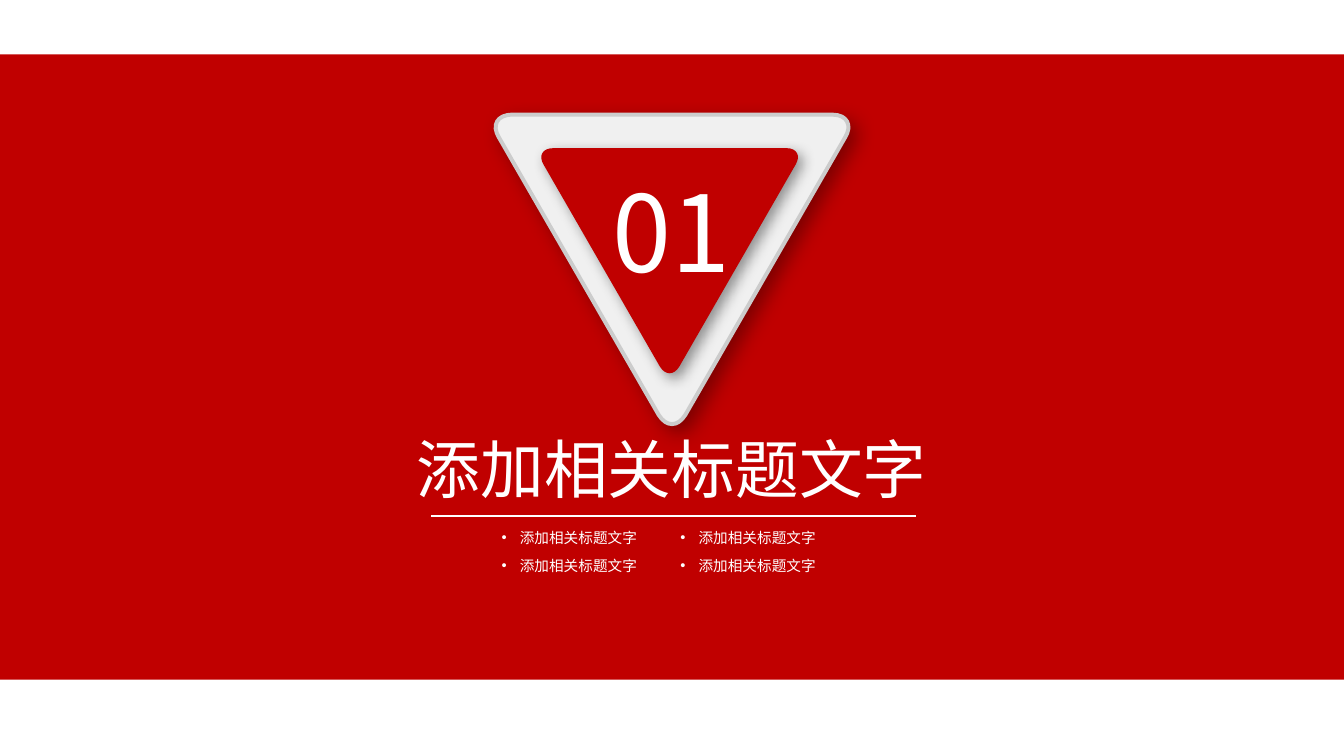
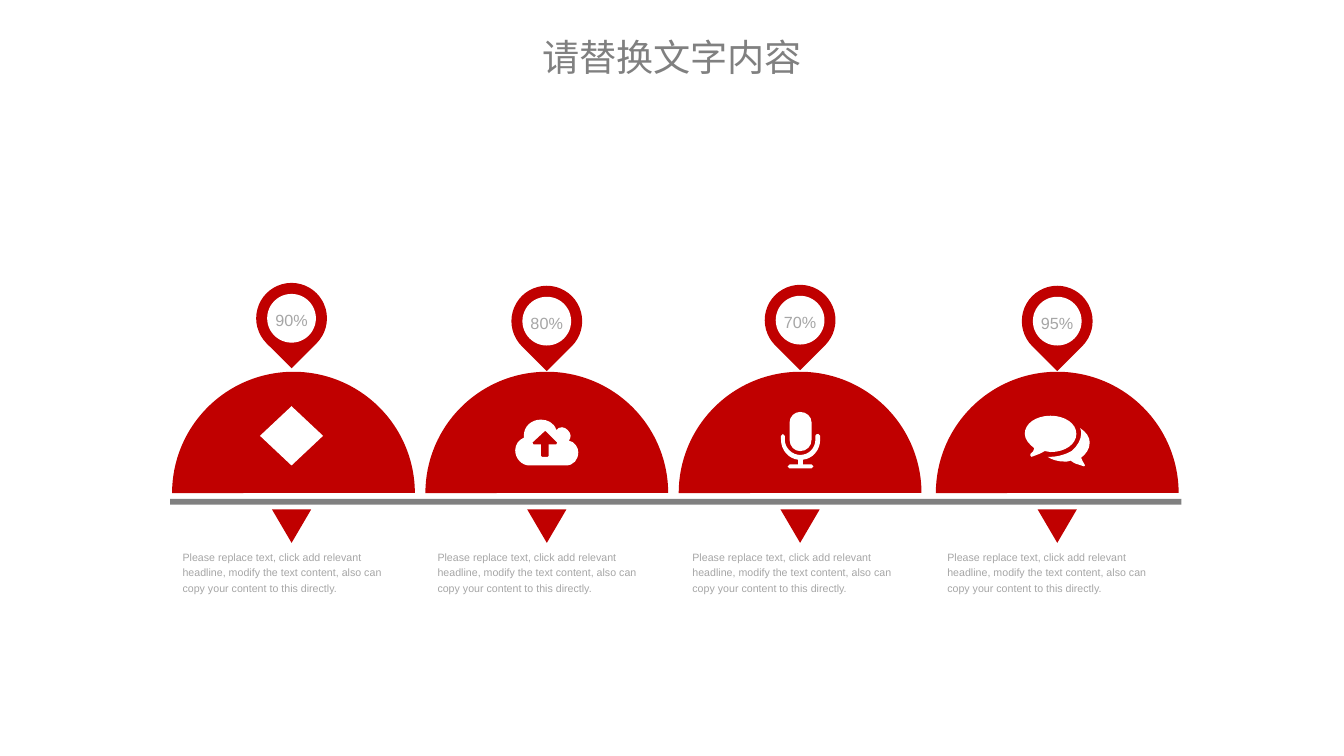
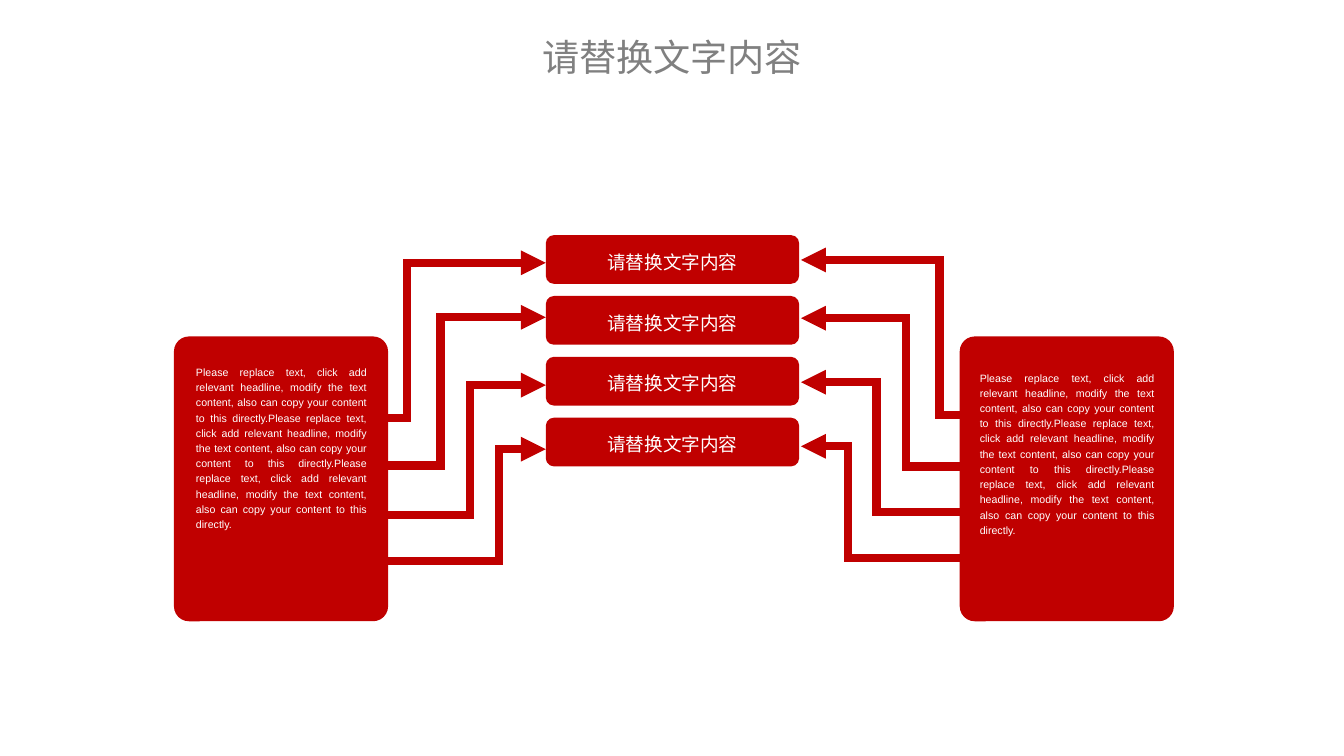
from lxml import etree
from pptx import Presentation
from pptx.dml.color import RGBColor
from pptx.enum.shapes import MSO_CONNECTOR as LINK, MSO_SHAPE as SHAPE
from pptx.enum.text import MSO_ANCHOR as ANCHOR, MSO_AUTO_SIZE as FIT, PP_ALIGN as ALIGN
from pptx.oxml import parse_xml
from pptx.oxml.ns import nsdecls, qn
from pptx.util import Inches, Pt

WIDTH, HEIGHT = 14.06, 7.91
RED, WHITE, GREY, SOFT = "C00000", "FFFFFF", "808080", "A6A6A6"
PANEL, EDGE = "F0F0F0", "CCCCCC"
LATIN, CJK = "Arial", "Noto Sans CJK SC"

SECTION_NUMBER = "01"
SECTION_TITLE = "添加相关标题文字"
SECTION_POINTS = [["添加相关标题文字", "添加相关标题文字"],
                  ["添加相关标题文字", "添加相关标题文字"]]
PAGE_TITLE = "请替换文字内容"
BLURB = ("Please replace text, click add relevant headline, modify the text content, "
         "also can copy your content to this directly.")

# Outlines are in hundredths of an inch: two numbers make a line, six a curve.
TITLE_PANEL = [[(0, 0), (543, 0), (543, 81), (0, 81)]]
TRIANGLE = [[(8, 24), (0, 11, 6, 0, 22, 0), (357, 0), (372, 0, 378, 11, 370, 24),
             (203, 314), (195, 327, 183, 327, 175, 314)]]
CLOUD = [
    [(53, 48), (15, 48), (7, 48, 0, 41, 0, 32), (0, 26, 4, 21, 9, 19),
     (9, 18, 9, 18, 9, 17), (9, 7, 17, 0, 27, 0), (33, 0, 41, 3, 43, 11),
     (44, 9, 47, 8, 49, 8), (53, 8, 58, 13, 58, 17), (58, 19, 57, 21, 56, 22),
     (62, 23, 66, 29, 66, 34), (66, 42, 61, 48, 53, 48)],
    [(44, 24), (32, 12), (31, 12), (18, 24), (19, 26), (27, 26), (27, 38), (28, 39),
     (34, 39), (35, 38), (35, 26), (43, 26)],
]
MICROPHONE = [
    [(41, 29), (41, 40, 33, 49, 23, 50), (23, 55), (32, 55), (33, 55, 34, 56, 34, 57),
     (34, 58, 33, 59, 32, 59), (9, 59), (8, 59, 7, 58, 7, 57), (7, 56, 8, 55, 9, 55),
     (18, 55), (18, 50), (8, 49, 0, 40, 0, 29), (0, 25), (0, 24, 1, 23, 2, 23),
     (3, 23, 4, 24, 4, 25), (4, 29), (4, 38, 12, 45, 20, 45), (29, 45, 36, 38, 36, 29),
     (36, 25), (36, 24, 37, 23, 39, 23), (40, 23, 41, 24, 41, 25)],
    [(32, 29), (32, 36, 27, 41, 20, 41), (14, 41, 9, 36, 9, 29), (9, 11),
     (9, 5, 14, 0, 20, 0), (27, 0, 32, 5, 32, 11)],
]
SPEECH = [
    [(27, 38), (25, 38, 23, 37, 21, 37), (17, 39, 14, 41, 10, 42), (9, 42, 8, 43, 7, 43),
     (6, 42), (5, 41, 6, 40, 6, 40), (8, 38, 10, 37, 10, 34), (5, 30, 0, 25, 0, 19),
     (0, 8, 12, 0, 27, 0), (42, 0, 54, 8, 54, 19), (54, 30, 42, 38, 27, 38)],
    [(59, 44), (60, 47, 61, 48, 62, 50), (63, 51, 63, 51, 63, 52),
     (63, 53, 63, 53, 62, 53), (61, 53, 60, 53, 59, 52), (55, 51, 52, 50, 48, 47),
     (46, 48, 44, 48, 42, 48), (35, 48, 28, 46, 24, 43), (27, 43),
     (35, 43, 44, 40, 49, 37), (55, 32, 59, 25, 59, 19), (59, 17, 59, 15, 58, 13),
     (64, 17, 68, 22, 68, 28), (68, 35, 64, 40, 59, 44)],
]
DIAMOND = [[(33, 0), (66, 31), (33, 62), (0, 31)]]

STAGES = [
    ("90%", 1.8, 3.05, 2.96, DIAMOND, 2.72, 4.25),
    ("80%", 4.45, 5.72, 2.99, CLOUD, 5.39, 4.39),
    ("70%", 7.1, 8.37, 2.98, MICROPHONE, 8.17, 4.31),
    ("95%", 9.79, 11.06, 2.99, SPEECH, 10.72, 4.35),
]

LABELS = ["请替换文字内容"] * 4
ROUTES = [(4.37, 2.75, 4.26, -0.03), (4.87, 3.32, 4.61, 0.01),
          (5.39, 4.03, 4.92, -0.03), (5.87, 4.7, 5.22, -0.03)]
MIRROR = 14.09
CARDS = [(1.82, 2.05, 3.8, 1.79), (10.04, 10.25, 3.86, 1.83)]


def color(value):
    return RGBColor.from_string(value)


def paint(shape, fill=None, edge=None, weight=0):
    shape.shadow.inherit = False
    if fill:
        shape.fill.solid()
        shape.fill.fore_color.rgb = color(fill)
    else:
        shape.fill.background()
    if edge:
        shape.line.color.rgb = color(edge)
        shape.line.width = Pt(weight)
    else:
        shape.line.fill.background()
    return shape


def add_block(page, kind, left, top, width, height, fill, turn=0):
    shape = page.shapes.add_shape(kind, Inches(left), Inches(top), Inches(width), Inches(height))
    shape.rotation = turn
    return paint(shape, fill)


def write(shape, text, size, ink, align=ALIGN.LEFT, spacing=None, font=LATIN,
          anchor=ANCHOR.TOP, inset=True, wrap=True, bullet=False):
    frame = shape.text_frame
    frame.word_wrap = wrap
    frame.vertical_anchor = anchor
    if not inset:
        frame.margin_left = frame.margin_right = frame.margin_top = frame.margin_bottom = 0
    para = frame.paragraphs[0]
    para.alignment = align
    if spacing:
        para.line_spacing = spacing
    if bullet:
        props = para._p.get_or_add_pPr()
        props.set("marL", str(Inches(0.19)))
        props.set("indent", str(Inches(-0.19)))
        etree.SubElement(props, qn("a:buFont")).set("typeface", LATIN)
        etree.SubElement(props, qn("a:buChar")).set("char", "•")
    span = para.add_run()
    span.text = text
    span.font.name = font
    span.font.size = Pt(size)
    span.font.color.rgb = color(ink)


def add_text(page, left, top, width, height, text, size, ink, **style):
    box = page.shapes.add_textbox(Inches(left), Inches(top), Inches(width), Inches(height))
    write(box, text, size, ink, **style)
    box.text_frame.auto_size = FIT.SHAPE_TO_FIT_TEXT


def bend_curves(shape, contours):
    outline = next(shape._element.iter(qn("a:path")))
    nodes = iter(outline.findall(qn("a:lnTo")))
    for part in (part for contour in contours for part in contour[1:]):
        knots = [next(nodes) for _ in range(len(part) // 2)]
        if len(knots) == 3:
            curve = etree.Element(qn("a:cubicBezTo"))
            knots[0].addprevious(curve)
            for knot in knots:
                curve.append(knot[0])
                outline.remove(knot)


def add_outline(page, contours, left, top, fill=None, scale=1, edge=None, weight=0):
    builder = None
    for contour in contours:
        points = [(Inches(left + part[i] * scale / 100), Inches(top + part[i + 1] * scale / 100))
                  for part in contour for i in range(0, len(part), 2)]
        if builder is None:
            builder = page.shapes.build_freeform(*points[0])
        else:
            builder.move_to(*points[0])
        builder.add_line_segments(points[1:], close=True)
    shape = builder.convert_to_shape()
    bend_curves(shape, contours)
    return paint(shape, fill, edge, weight)


def cast_shadow(shape, opacity, blur, distance):
    effects = shape._element.spPr.find(qn("a:effectLst"))
    effects.append(parse_xml(
        f'<a:outerShdw {nsdecls("a")} blurRad="{Pt(blur)}" dist="{Pt(distance)}" '
        f'dir="2700000" algn="tl" rotWithShape="0"><a:srgbClr val="000000">'
        f'<a:alpha val="{opacity * 1000}"/></a:srgbClr></a:outerShdw>'))


def add_line(page, kind, start, end, ink, weight):
    line = page.shapes.add_connector(kind, *(Inches(value) for value in (*start, *end)))
    line.line.color.rgb = color(ink)
    line.line.width = Pt(weight)
    etree.SubElement(line._element.spPr, qn("a:effectLst"))
    return line


def add_elbow_arrow(page, start, end, bend):
    arrow = add_line(page, LINK.ELBOW, start, end, RED, 6.25)
    share = (bend - start[0]) / (end[0] - start[0])
    guides = arrow._element.spPr.find(qn("a:prstGeom")).get_or_add_avLst()
    guide = etree.SubElement(guides, qn("a:gd"))
    guide.set("name", "adj1")
    guide.set("fmla", f"val {round(share * 100000)}")
    stroke = arrow._element.spPr.find(qn("a:ln"))
    etree.SubElement(stroke, qn("a:miter")).set("lim", "800000")
    etree.SubElement(stroke, qn("a:tailEnd")).set("type", "triangle")


def add_page(deck, title=None):
    page = deck.slides.add_slide(deck.slide_layouts[6])
    if title:
        add_text(page, 5.47, 0.22, 3.12, 0.55, title, 28, GREY,
                 align=ALIGN.CENTER, spacing=1.3, inset=False)
    return page


def build_section(deck):
    page = add_page(deck)
    add_block(page, SHAPE.RECTANGLE, 0, 0.57, WIDTH, 6.54, RED)
    sign = add_outline(page, TRIANGLE, 5.14, 1.2, PANEL, edge=EDGE, weight=3)
    cast_shadow(sign, 35, 15, 7)
    core = add_outline(page, TRIANGLE, 5.63, 1.55, RED, scale=2.75 / 3.78)
    cast_shadow(core, 40, 10, 5)
    add_text(page, 5.48, 1.69, 3.1, 1.45, SECTION_NUMBER, 80, WHITE,
             align=ALIGN.CENTER, font=CJK)
    add_line(page, LINK.STRAIGHT, (4.51, 5.4), (9.58, 5.4), WHITE, 2)
    panel = add_outline(page, TITLE_PANEL, 4.36, 4.49)
    write(panel, SECTION_TITLE, 48, WHITE, anchor=ANCHOR.MIDDLE, inset=False)
    for row, points in enumerate(SECTION_POINTS):
        for column, point in enumerate(points):
            add_text(page, 5.15 + 1.87 * column, 5.48 + 0.3 * row, 1.63, 0.29,
                     point, 11, WHITE, wrap=False, bullet=True)


def build_stages(deck):
    page = add_page(deck, PAGE_TITLE)
    dome, pin, hole, pointer = 2.54, 0.74, 0.51, 0.41
    text_step = (9.91 - 1.91) / (len(STAGES) - 1)
    add_block(page, SHAPE.RECTANGLE, 1.78, 5.22, 10.58, 0.06, GREY)
    for index, (share, left, center, pin_top, icon, icon_left, icon_top) in enumerate(STAGES):
        half = add_block(page, SHAPE.CHORD, left, 3.89, dome, dome, RED, turn=112.4)
        half.adjustments[0], half.adjustments[1] = 40.58, 148.46
        add_block(page, SHAPE.ISOSCELES_TRIANGLE, center - pointer / 2, 5.33,
                  pointer, 0.35, RED, turn=180)
        add_block(page, SHAPE.TEAR, center - pin / 2, pin_top, pin, pin, RED, turn=135)
        disc = add_block(page, SHAPE.OVAL, center - hole / 2, pin_top + (pin - hole) / 2,
                         hole, hole, WHITE)
        write(disc, share, 12.2, SOFT, align=ALIGN.CENTER, spacing=1.2,
              anchor=ANCHOR.MIDDLE, inset=False)
        add_outline(page, icon, icon_left, icon_top, WHITE)
        add_text(page, 1.91 + text_step * index, 5.74, 2.29, 0.47, BLURB, 8, SOFT,
                 spacing=1.2, inset=False)


def build_flow(deck):
    page = add_page(deck, PAGE_TITLE)
    bar_step = (4.37 - 2.46) / (len(LABELS) - 1)
    for low, high, bend, shift in ROUTES:
        add_elbow_arrow(page, (3.15, low), (5.71, high), bend)
        add_elbow_arrow(page, (MIRROR - 3.15, low + shift), (8.38, high + shift), MIRROR - bend)
    for row, label in enumerate(LABELS):
        bar = add_block(page, SHAPE.ROUNDED_RECTANGLE, 5.71, 2.46 + bar_step * row,
                        2.65, 0.51, RED)
        write(bar, label, 14, WHITE, align=ALIGN.CENTER, spacing=1.2, anchor=ANCHOR.MIDDLE)
    for left, text_left, text_top, text_width in CARDS:
        card = add_block(page, SHAPE.ROUNDED_RECTANGLE, left, 3.52, 2.24, 2.98, RED)
        card.adjustments[0] = 0.07
        add_text(page, text_left, text_top, text_width, 1.77, BLURB * 3, 8, WHITE,
                 align=ALIGN.JUSTIFY, spacing=1.2, inset=False)


def main():
    deck = Presentation()
    deck.slide_width, deck.slide_height = Inches(WIDTH), Inches(HEIGHT)
    build_section(deck)
    build_stages(deck)
    build_flow(deck)
    deck.save("out.pptx")


if __name__ == "__main__":
    main()
